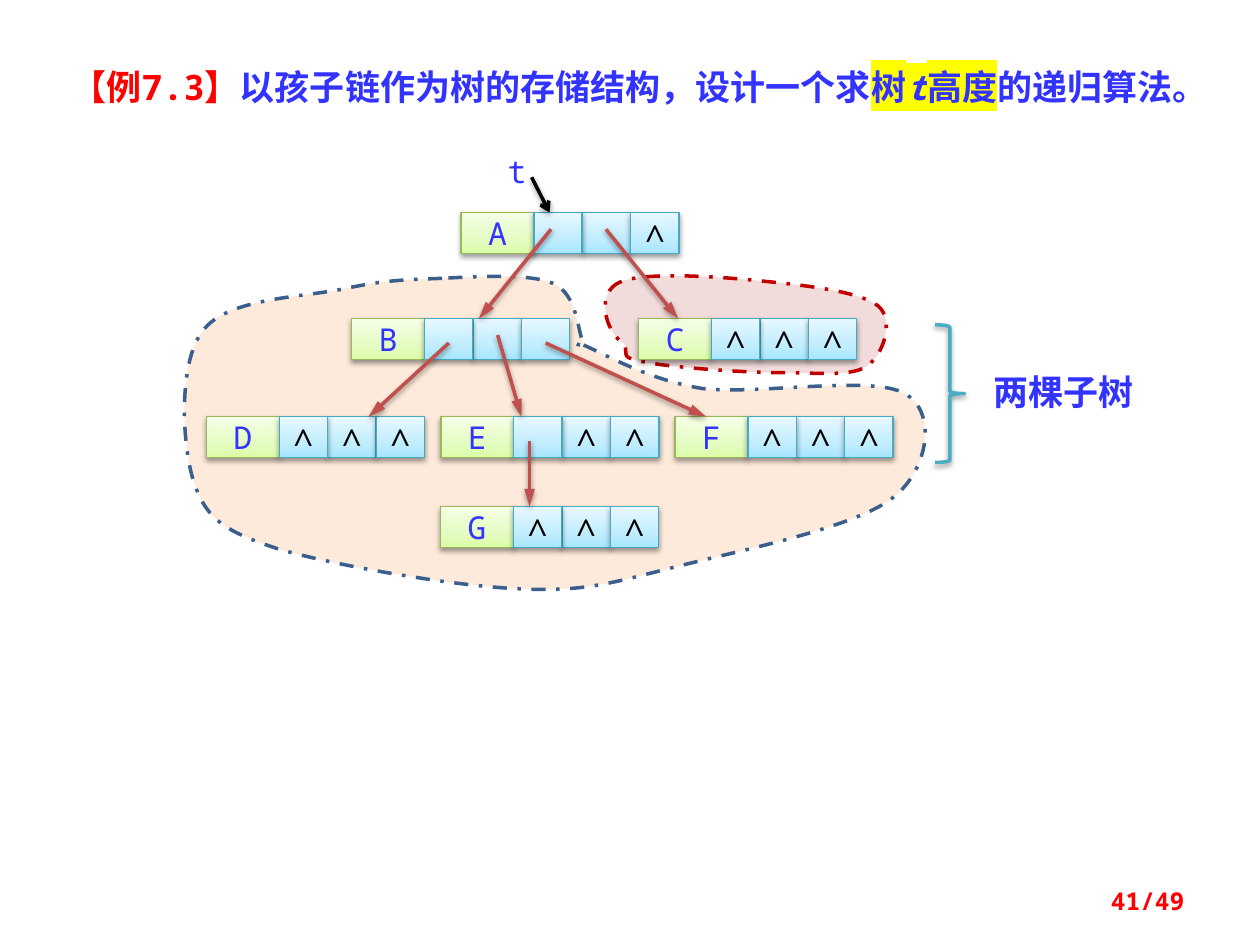
"""Build the child-chain tree slide."""
from copy import deepcopy
from dataclasses import dataclass

from lxml.etree import SubElement
from pptx import Presentation
from pptx.dml.color import RGBColor
from pptx.enum.dml import MSO_LINE_DASH_STYLE as Dash
from pptx.enum.shapes import MSO_CONNECTOR as Link, MSO_SHAPE as Shape
from pptx.enum.text import MSO_ANCHOR as Anchor, PP_ALIGN as Align
from pptx.oxml.ns import qn
from pptx.util import Pt


@dataclass(frozen=True)
class Theme:
    mono: str = "Noto Sans Mono"
    cjk: str = "Noto Sans CJK SC"
    head: int = 20
    body: int = 18
    foot: int = 14
    lead: int = 24
    blue: str = "3333FF"
    red: str = "FF0000"
    black: str = "000000"
    mark: str = "FFFF00"
    arrow: str = "C0504D"
    brace: str = "4BACC6"
    peach: str = "FDEADA"
    navy: str = "3A5F8C"
    pink: str = "F2DCDB"
    wine: str = "C00000"
    green: tuple = ("DAFDA7", "E4FCC2", "F5FFE7")
    leaf: str = "98B955"
    sky: tuple = ("A7E6FF", "C1EDFF", "E7F8FF")
    sea: str = "46AAC5"


T = Theme()
NULL = "∧"
DATA, STEP, CELL, HIGH = 41.6, 27.7, 27.6, 23.4
NODES = [
    ("A", 263.5, 121.4, ("", "", NULL)),
    ("B", 201, 182.2, ("", "", "")),
    ("C", 365, 182.2, (NULL, NULL, NULL)),
    ("D", 118, 238.2, (NULL, NULL, NULL)),
    ("E", 252, 238.2, ("", NULL, NULL)),
    ("F", 385.8, 238.2, (NULL, NULL, NULL)),
    ("G", 251.8, 289.4, (NULL, NULL, NULL)),
]
ARROWS = [
    (314.9, 131, 273.6, 182.2), (346.3, 131, 387.6, 182.2),
    (256.5, 196, 210.6, 238.2), (284.4, 191.5, 298, 238.2),
    (311.8, 196, 403.6, 238.2), (302.6, 252, 302.6, 289.4),
]
LEFT = [
    (252.7, 159.1),
    (233, 159.8), (220, 160), (197, 165), (174, 170), (130, 170), (116, 189),
    (101.5, 207), (104, 256), (111, 276), (118, 297), (129, 304), (160, 314),
    (191, 323), (259, 335), (297, 336.5), (334, 338.4), (350, 333), (386, 324),
    (421, 315), (487, 302), (509.5, 285), (531, 269), (535.7, 235), (517, 225),
    (499, 214), (431, 226), (401, 222), (370, 217), (345, 202), (333, 197),
    (322, 193), (336, 201), (333, 195), (330, 189), (330, 168), (316, 162),
    (303, 156.2), (273, 158), (252.7, 159.1),
]
RIGHT = [
    (354.2, 161.3),
    (340.6, 167), (345, 189), (357, 197), (359, 204), (354, 204), (369, 207),
    (384, 210), (425, 213), (446, 213), (467, 213), (486, 215.3), (495, 209.5),
    (505, 203), (511.2, 183), (502, 175), (492, 167), (464, 163.5), (439, 161),
    (415, 158.4), (368, 154.8), (354.2, 161.3),
]


def tint(code):
    """Turn a hex code into a colour."""
    return RGBColor.from_string(code)


def stroke(line, color, width):
    """Set the colour and width of a line."""
    line.color.rgb = tint(color)
    line.width = Pt(width)


def shade(part):
    """Give a shape or connector a soft shadow below it."""
    props = part.element.spPr
    drop = SubElement(SubElement(props, qn("a:effectLst")), qn("a:outerShdw"),
                      blurRad=str(Pt(3.1)), dist=str(Pt(1.6)),
                      dir="5400000", rotWithShape="0")
    color = SubElement(drop, qn("a:srgbClr"), val=T.black)
    SubElement(color, qn("a:alpha"), val="38000")


def write(frame, text, *, size=T.body, color=T.blue, face=T.mono, east=None,
          bold=False, slant=False, mark=None, align=Align.LEFT, lead=None):
    """Add a run of text to the first paragraph of a frame."""
    para = frame.paragraphs[0]
    para.alignment = align
    if lead:
        para.line_spacing = Pt(lead)
    run = para.add_run()
    run.text = text
    font = run.font
    font.size, font.bold, font.italic = Pt(size), bold, slant
    font.color.rgb = tint(color)
    font.name = face
    props = run._r.rPr
    SubElement(props, qn("a:ea"), typeface=east or face)
    if mark:
        glow = SubElement(props, qn("a:highlight"))
        SubElement(glow, qn("a:srgbClr"), val=mark)
        props.find(qn("a:solidFill")).addnext(glow)


def label(slide, x, y, w, h, anchor=Anchor.TOP):
    """Add a wrapping text box and return its frame."""
    frame = slide.shapes.add_textbox(Pt(x), Pt(y), Pt(w), Pt(h)).text_frame
    frame.word_wrap = True
    frame.vertical_anchor = anchor
    return frame


def cell(slide, x, y, width, text, stops, edge, color):
    """Draw one shaded field of a node."""
    box = slide.shapes.add_shape(Shape.RECTANGLE, Pt(x), Pt(y), Pt(width), Pt(HIGH))
    box.fill.gradient()
    box.fill.gradient_angle = 90
    row = box.element.spPr.find(".//" + qn("a:gsLst"))
    row.append(deepcopy(row[0]))
    for stop, place, code in zip(box.fill.gradient_stops, (0, 0.35, 1), stops):
        stop.position = place
        stop.color.rgb = tint(code)
    stroke(box.line, edge, 0.75)
    shade(box)
    if text:
        frame = box.text_frame
        frame.word_wrap = False
        frame.vertical_anchor = Anchor.MIDDLE
        write(frame, text, color=color, align=Align.CENTER)


def node(slide, name, x, y, links):
    """Draw a data field and its link fields, the middle link first."""
    cell(slide, x, y, DATA, name, T.green, T.leaf, T.blue)
    for i in (1, 0, 2):
        cell(slide, x + DATA + i * STEP, y, CELL, links[i], T.sky, T.sea, T.black)


def arrow(slide, ends, color=T.arrow, head="triangle", reach="lg"):
    """Draw a shadowed arrow between two points."""
    line = slide.shapes.add_connector(Link.STRAIGHT, *map(Pt, ends))
    stroke(line.line, color, 2)
    SubElement(line.line._ln, qn("a:tailEnd"), type=head, w="med", len=reach)
    shade(line)


def bend(blob):
    """Turn each three line steps of an outline into one cubic curve."""
    route = blob.element.spPr.find(".//" + qn("a:path"))
    steps = route.findall(qn("a:lnTo"))
    for i in range(0, len(steps), 3):
        curve = SubElement(route, qn("a:cubicBezTo"))
        steps[i].addprevious(curve)
        for step in steps[i:i + 3]:
            curve.append(step[0])
            route.remove(step)


def region(slide, knots, fill, edge):
    """Draw a dashed closed curve around a subtree."""
    start, *rest = [tuple(map(Pt, knot)) for knot in knots]
    pen = slide.shapes.build_freeform(*start)
    pen.add_line_segments(rest, close=True)
    blob = pen.convert_to_shape()
    bend(blob)
    blob.fill.solid()
    blob.fill.fore_color.rgb = tint(fill)
    stroke(blob.line, edge, 2)
    blob.line.dash_style = Dash.DASH_DOT
    blob.shadow.inherit = False


def title(slide):
    """Write the problem statement."""
    frame = label(slide, 33.8, 33.8, 658, 31.7)
    for text, style in (
        ("【例7.3】", {"color": T.red}),
        ("以孩子链作为树的存储结构，设计一个求", {}),
        ("树", {"mark": T.mark}),
        ("t", {"mark": T.mark, "slant": True}),
        ("高度", {"mark": T.mark}),
        ("的递归算法。", {}),
    ):
        write(frame, text, size=T.head, east=T.cjk, bold=True, lead=T.lead, **style)


def main():
    """Build and save the slide."""
    deck = Presentation()
    deck.slide_width, deck.slide_height = Pt(720), Pt(540)
    slide = deck.slides.add_slide(deck.slide_layouts[6])
    region(slide, RIGHT, T.pink, T.wine)
    region(slide, LEFT, T.peach, T.navy)
    write(label(slide, 556.8, 208, 101.5, 31.7), "两棵子树", size=T.head,
          face=T.cjk, bold=True, align=Align.CENTER, lead=T.lead)
    brace = slide.shapes.add_shape(Shape.RIGHT_BRACE, Pt(534.4), Pt(185.6), Pt(16.8), Pt(78.7))
    brace.fill.background()
    stroke(brace.line, T.brace, 2)
    shade(brace)
    title(slide)
    for part in (slice(-1), slice(-1, None)):
        for item in NODES[part]:
            node(slide, *item)
        for ends in ARROWS[part]:
            arrow(slide, ends)
    write(label(slide, 281.5, 83.5, 28, 28.8), "t", align=Align.CENTER)
    arrow(slide, (303.8, 101.3, 314, 121.4), T.black, "arrow", "med")
    write(label(slide, 516.2, 500.4, 167.8, 28.8, Anchor.MIDDLE), "41/49",
          size=T.foot, color=T.red, bold=True, align=Align.RIGHT)
    deck.save("out.pptx")


if __name__ == "__main__":
    main()
